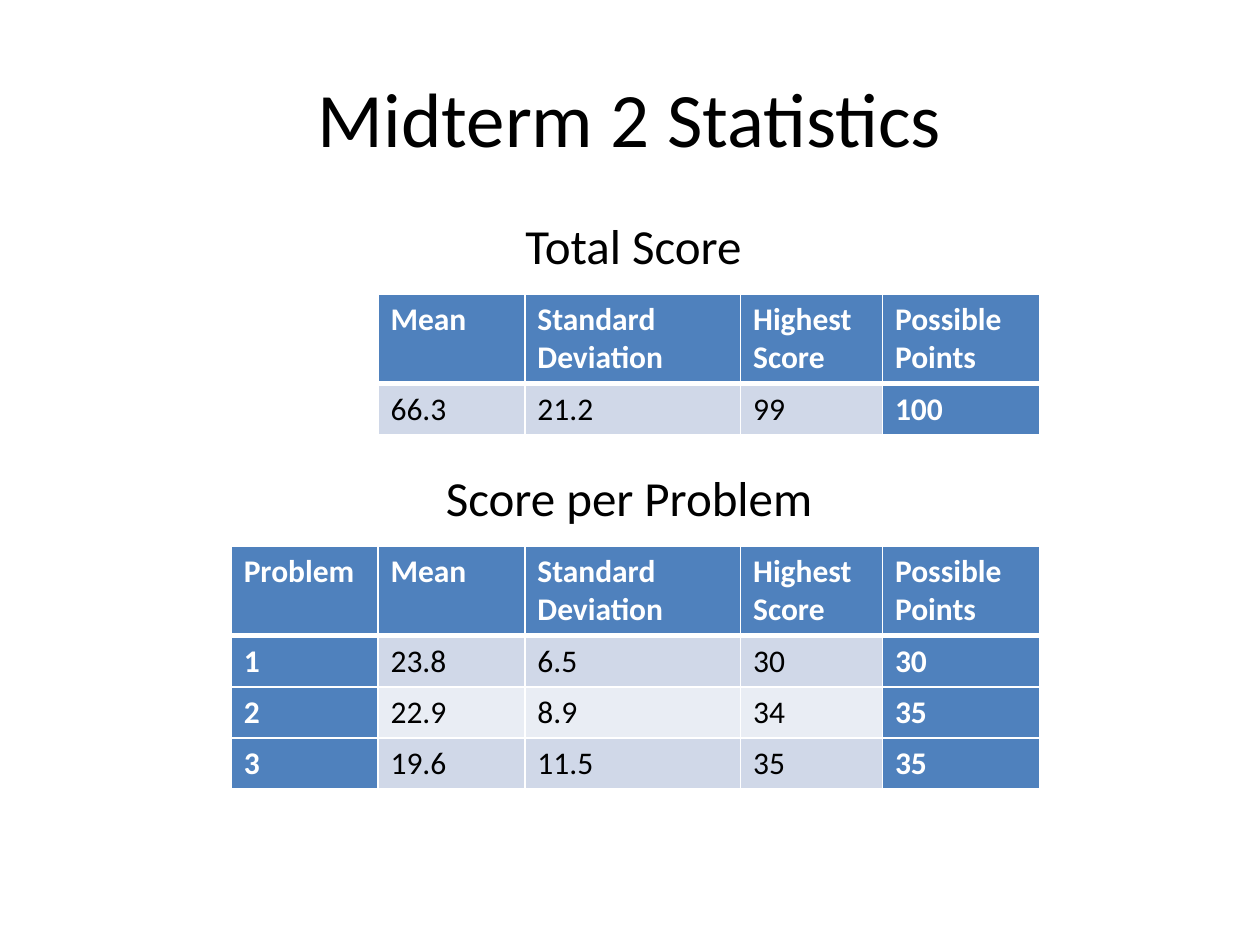
from lxml import etree
from pptx import Presentation
from pptx.dml.color import RGBColor
from pptx.enum.text import MSO_ANCHOR, MSO_AUTO_SIZE, PP_ALIGN
from pptx.oxml.ns import qn
from pptx.util import Cm, Pt

CENTER = PP_ALIGN.CENTER
MIDDLE = MSO_ANCHOR.MIDDLE
GROW = MSO_AUTO_SIZE.SHAPE_TO_FIT_TEXT
TITLE_ONLY = 5

FONT = "Calibri"
BLACK, WHITE, BLUE = "000000", "FFFFFF", "4F81BD"
BANDS = ("D0D8E8", "E9EDF4")
HEADER_HEIGHT, ROW_HEIGHT = 1.78, 1.03
COLUMN_WIDTHS = {
    "Problem": 2.96,
    "Mean": 2.96,
    "Standard Deviation": 4.35,
    "Highest Score": 2.86,
    "Possible Points": 3.18,
}
EMPHASISED = ("Problem", "Possible Points")


def color(value):
    """Turn a hex string into a colour."""
    return RGBColor.from_string(value)


def format_text(frame, size, ink, bold=False):
    """Give every run in a text frame the same look."""
    for para in frame.paragraphs:
        for span in para.runs:
            span.font.name = FONT
            span.font.size = Pt(size)
            span.font.bold = bold
            span.font.color.rgb = color(ink)


def set_borders(cell, top, bottom):
    """Draw white borders round a cell, with top and bottom widths in points."""
    properties = cell._tc.get_or_add_tcPr()
    widths = {"a:lnL": 1, "a:lnR": 1, "a:lnT": top, "a:lnB": bottom}
    for index, (side, width) in enumerate(widths.items()):
        line = etree.Element(qn(side), w=str(Pt(width)))
        fill = etree.SubElement(line, qn("a:solidFill"))
        etree.SubElement(fill, qn("a:srgbClr"), val=WHITE)
        properties.insert(index, line)


def add_title(page, text, left, top, width, height):
    """Place and format the slide title."""
    title = page.shapes.title
    title.left, title.top = Cm(left), Cm(top)
    title.width, title.height = Cm(width), Cm(height)
    frame = title.text_frame
    frame.text = text
    frame.vertical_anchor = MIDDLE
    frame.paragraphs[0].alignment = CENTER
    format_text(frame, 44, BLACK)


def add_heading(page, text, left, top, width):
    """Add the heading above a score table."""
    box = page.shapes.add_textbox(Cm(left), Cm(top), Cm(width), Cm(1.45))
    frame = box.text_frame
    frame.text = text
    frame.word_wrap = False
    frame.auto_size = GROW
    format_text(frame, 28, BLACK)


def add_score_table(page, headers, scores, left, top):
    """Add a banded score table with a header row and emphasised columns."""
    widths = [COLUMN_WIDTHS[header] for header in headers]
    height = HEADER_HEIGHT + ROW_HEIGHT * len(scores)
    table = page.shapes.add_table(
        len(scores) + 1, len(headers),
        Cm(left), Cm(top), Cm(sum(widths)), Cm(height),
    ).table
    for column, width in zip(table.columns, widths):
        column.width = Cm(width)
    for row_index, values in enumerate([headers, *scores]):
        is_header = row_index == 0
        table.rows[row_index].height = Cm(HEADER_HEIGHT if is_header else ROW_HEIGHT)
        for column_index, value in enumerate(values):
            strong = is_header or headers[column_index] in EMPHASISED
            cell = table.cell(row_index, column_index)
            cell.text_frame.text = value
            format_text(cell.text_frame, 18, WHITE if strong else BLACK, strong)
            cell.fill.solid()
            cell.fill.fore_color.rgb = color(BLUE if strong else BANDS[(row_index - 1) % 2])
            set_borders(cell, 3 if row_index == 1 else 1, 3 if is_header else 1)


def main():
    """Build the midterm statistics slide."""
    deck = Presentation()
    deck.slide_width, deck.slide_height = Cm(25.4), Cm(19.05)
    page = deck.slides.add_slide(deck.slide_layouts[TITLE_ONLY])
    headers = list(COLUMN_WIDTHS)
    problem_scores = [
        ["1", "23.8", "6.5", "30", "30"],
        ["2", "22.9", "8.9", "34", "35"],
        ["3", "19.6", "11.5", "35", "35"],
    ]
    add_title(page, "Midterm 2 Statistics", 1.27, 0.76, 22.86, 3.18)
    add_score_table(page, headers, problem_scores, 4.66, 11.01)
    add_score_table(page, headers[1:], [["66.3", "21.2", "99", "100"]], 7.62, 5.93)
    add_heading(page, "Total Score", 10.34, 4.23, 4.9)
    add_heading(page, "Score per Problem", 8.74, 9.31, 7.98)
    deck.save("out.pptx")


if __name__ == "__main__":
    main()
